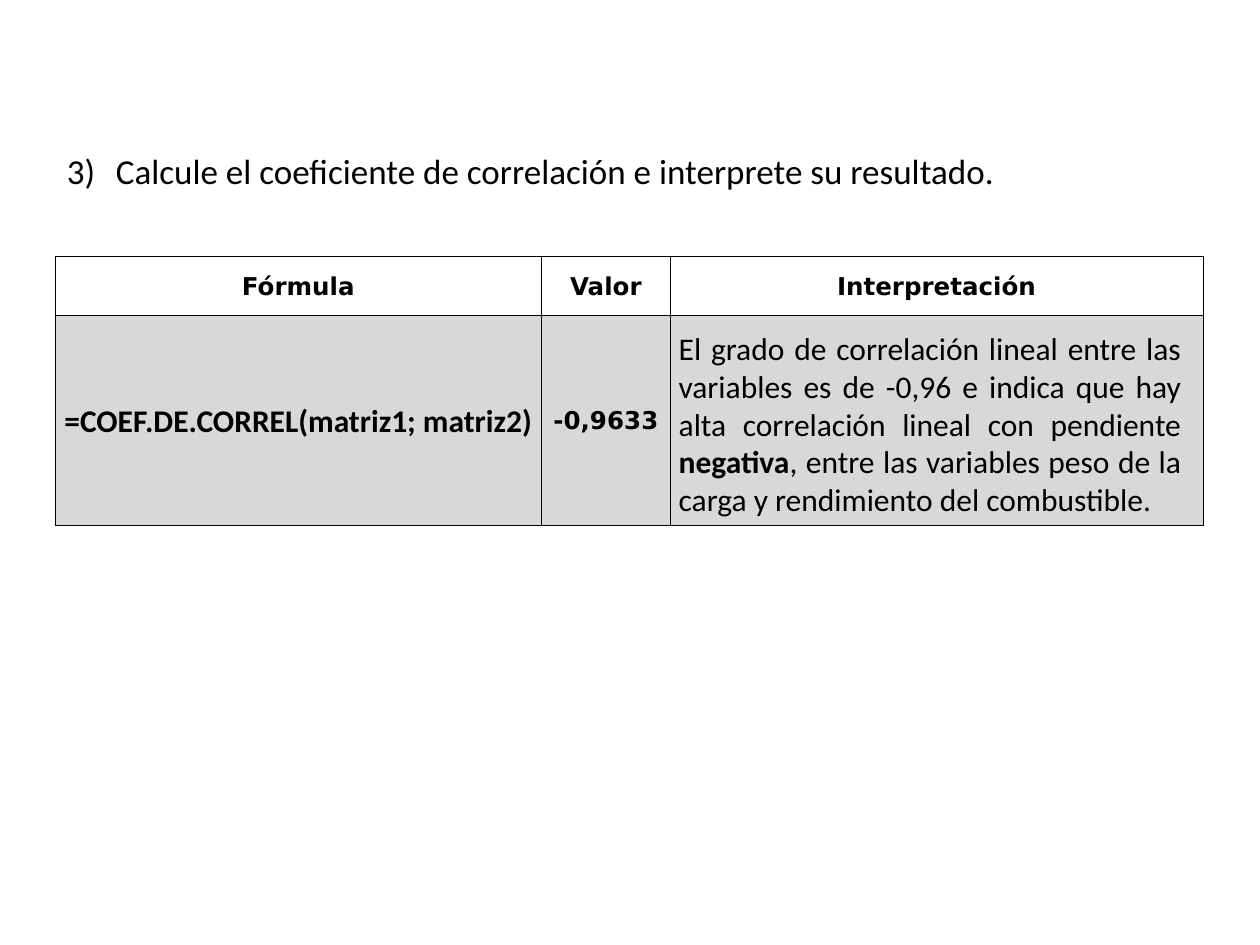
from lxml import etree
from pptx import Presentation
from pptx import util as u
from pptx.dml import color as col
from pptx.enum import text
from pptx.oxml import ns

Pt = u.Pt
BLACK = col.RGBColor(0x00, 0x00, 0x00)
WHITE = col.RGBColor(0xFF, 0xFF, 0xFF)
GREY = col.RGBColor(0xD8, 0xD8, 0xD8)
MID = text.MSO_ANCHOR.MIDDLE
JUST = text.PP_ALIGN.JUSTIFY
CENTER = text.PP_ALIGN.CENTER
HEAD = {"size": Pt(14), "name": "DejaVu Sans", "bold": True}
CODE = {"size": Pt(18), "name": "Calibri", "bold": True}
PLAIN = {"size": Pt(18), "name": "Calibri", "bold": False}
TASK = {"size": Pt(20), "name": "Calibri", "bold": False}


def apply(item, vals):
    """Set each attribute of item from a dict."""
    for key, val in vals.items():
        setattr(item, key, val)


class Deck:
    """Holds the style and the current slide."""

    def __init__(self, wide, high):
        self.prs = Presentation()
        apply(self.prs, {"slide_width": Pt(wide), "slide_height": Pt(high)})
        self.slide = self.prs.slides.add_slide(self.prs.slide_layouts[1])
        title = self.slide.shapes.title.element
        title.getparent().remove(title)

    def label(self, par, runs, align):
        apply(par, {"alignment": align, "space_before": Pt(0)})
        for words, style in runs:
            run = par.add_run()
            run.text = words
            apply(run.font, style)
            run.font.color.rgb = BLACK

    def task(self, box, words, start, indent):
        body = self.slide.placeholders[1]
        apply(body, dict(zip(("left", "top", "width", "height"), map(Pt, box))))
        body.text_frame.auto_size = text.MSO_AUTO_SIZE.SHAPE_TO_FIT_TEXT
        par = body.text_frame.paragraphs[0]
        self.label(par, [(words, TASK)], JUST)
        props = par._p.get_or_add_pPr()
        props.set("marL", str(Pt(indent)))
        props.set("indent", str(-Pt(indent)))
        etree.SubElement(props, ns.qn("a:buFont"), typeface="+mj-lt")
        etree.SubElement(props, ns.qn("a:buAutoNum"), type="arabicParenR", startAt=str(start))

    def note(self, box, runs):
        frame = self.slide.shapes.add_textbox(*map(Pt, box)).text_frame
        apply(frame, {"word_wrap": True, "auto_size": text.MSO_AUTO_SIZE.SHAPE_TO_FIT_TEXT})
        self.label(frame.paragraphs[0], runs, JUST)

    def border(self, cell):
        props = cell._tc.get_or_add_tcPr()
        for spot, side in enumerate("LRTB"):
            line = etree.Element(ns.qn("a:ln" + side), w=str(Pt(0.5)))
            fill = etree.SubElement(line, ns.qn("a:solidFill"))
            etree.SubElement(fill, ns.qn("a:srgbClr"), val=str(BLACK))
            props.insert(spot, line)

    def grid(self, left, top, cols, rows, cells, fills):
        box = map(Pt, (left, top, sum(cols), sum(rows)))
        table = self.slide.shapes.add_table(len(rows), len(cols), *box).table
        for part, size in zip(table.columns, cols):
            part.width = Pt(size)
        for part, size in zip(table.rows, rows):
            part.height = Pt(size)
        edges = ("margin_left", "margin_top", "margin_right")
        form = {**dict.fromkeys(edges, Pt(0.75)), "margin_bottom": 0, "vertical_anchor": MID}
        for row, line in enumerate(cells):
            for spot, runs in enumerate(line):
                cell = table.cell(row, spot)
                apply(cell, form)
                cell.fill.solid()
                cell.fill.fore_color.rgb = fills[row]
                self.border(cell)
                self.label(cell.text_frame.paragraphs[0], runs, CENTER)


def main():
    deck = Deck(720, 540)
    deck.task((31, 82, 658, 31.5),
              "Calcule el coeficiente de correlación e interprete su resultado.", 3, 28)
    heads = [[(word, HEAD)] for word in ("Fórmula", "Valor", "Interpretación")]
    vals = [[("=COEF.DE.CORREL(matriz1; matriz2)", CODE)], [("-0,9633", HEAD)], []]
    deck.grid(31.5, 146.5, (278, 73.5, 304.5), (34, 120), (heads, vals), (WHITE, GREY))
    deck.note((380.75, 184.5, 301.5, 116.5), [
        ("El grado de correlación lineal entre las variables es de -0,96 e indica "
         "que hay alta correlación lineal con pendiente ", PLAIN),
        ("negativa", CODE),
        (", entre las variables peso de la carga y rendimiento del combustible.", PLAIN)])
    deck.prs.save("out.pptx")


if __name__ == "__main__":
    main()
